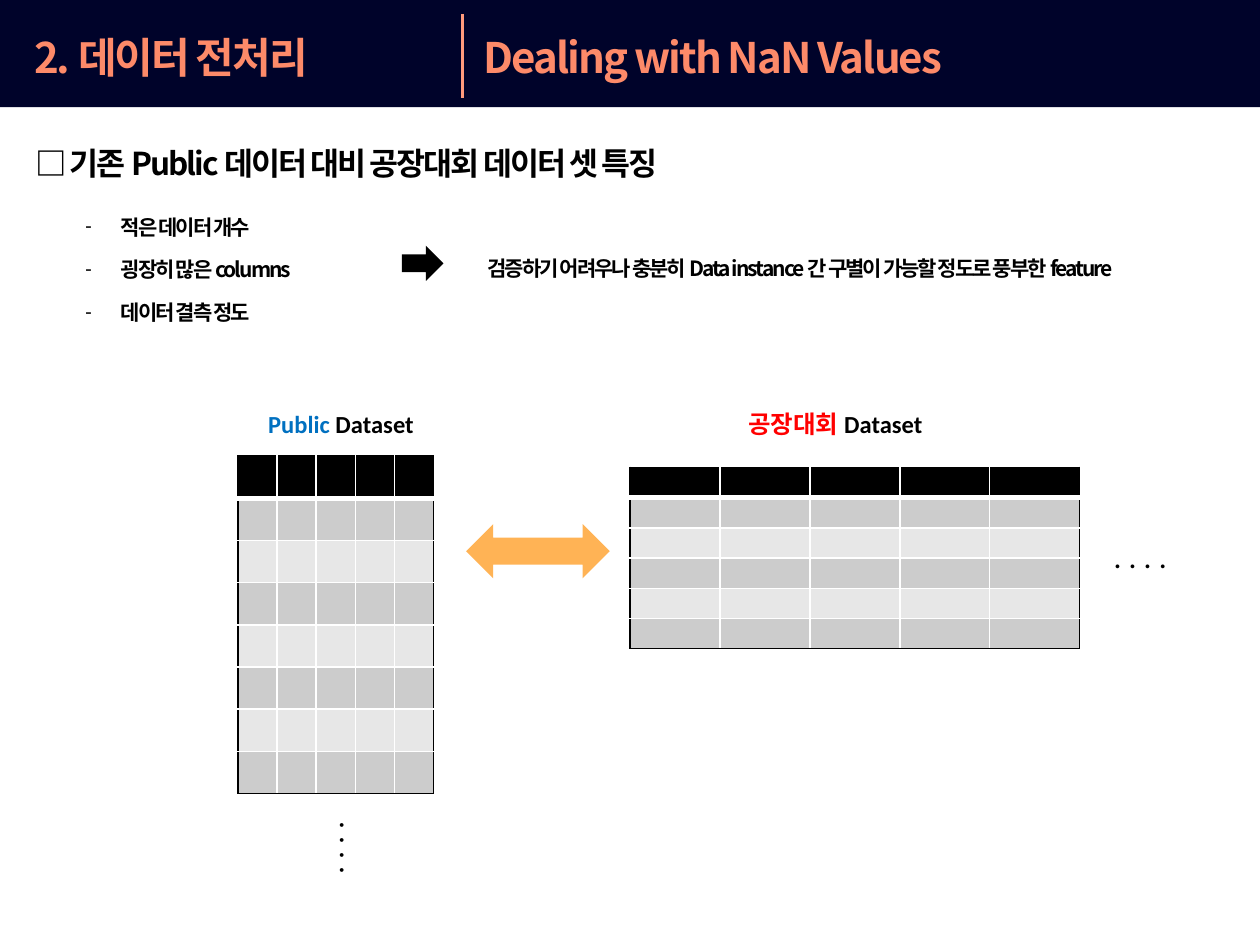
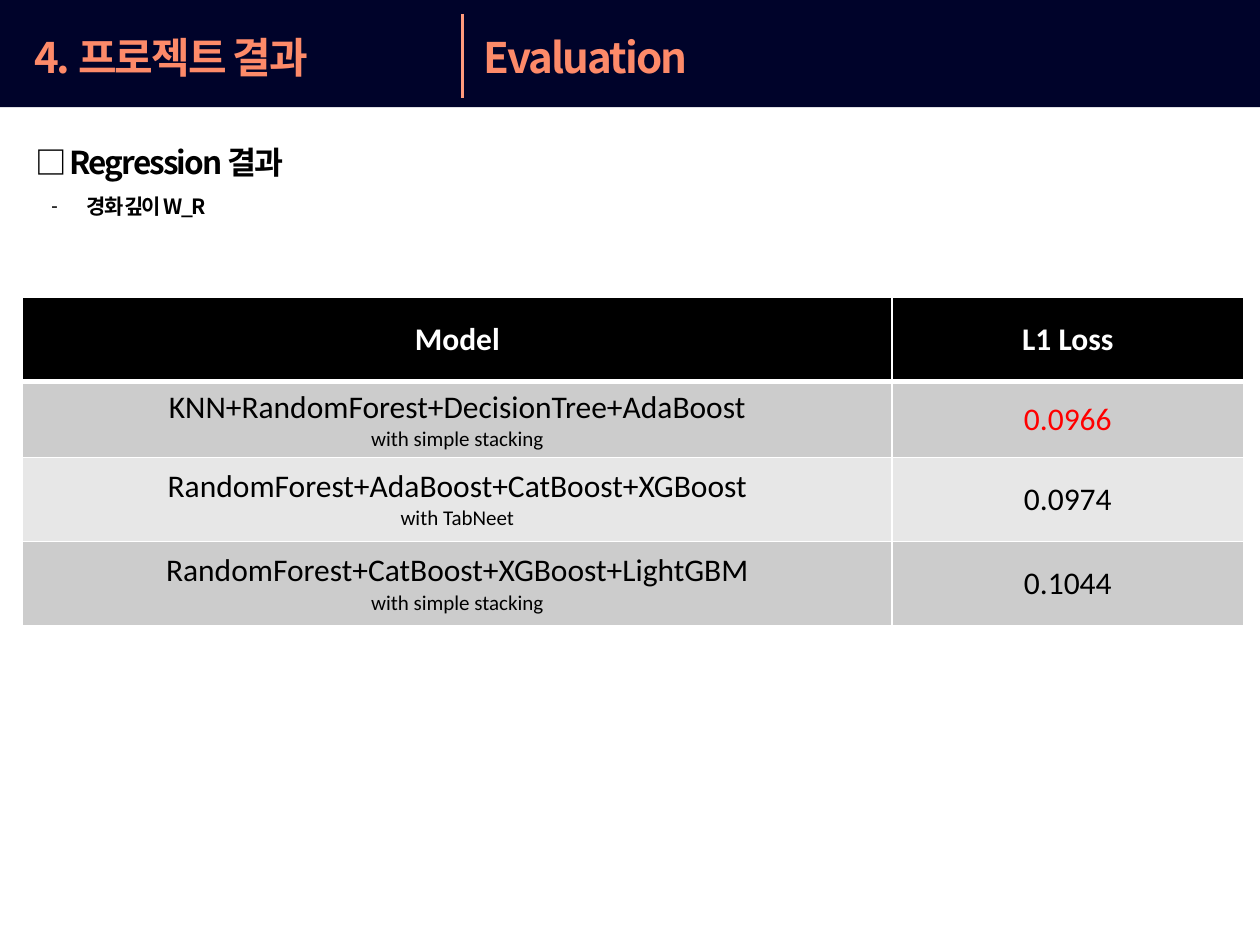
from lxml import etree
from pptx import Presentation
from pptx.dml.color import RGBColor
from pptx.enum import shapes, text
from pptx.oxml import ns
from pptx.util import Inches, Pt

COLORS = {
    "band": "00032A",
    "heading": "FD8A69",
    "divider": "FF9B7D",
    "black": "000000",
    "white": "FFFFFF",
    "red": "FF0000",
    "blue": "0070C0",
    "orange": "FFB355",
    "odd_row": "CCCCCC",
    "even_row": "E7E7E7",
}
KOREAN = "Noto Sans CJK KR"
LATIN = "Calibri"
HEADING = dict(size=24, color="heading", bold=True, font=KOREAN, spacing=-1.1)
SUBHEADING = dict(HEADING, size=18, color="black")
NOTE = dict(SUBHEADING, size=12)
LABEL = dict(size=14, bold=True)
MIDDLE = text.MSO_ANCHOR.MIDDLE
TITLE_ONLY = 5


def rgb(name):
    return RGBColor.from_string(COLORS[name])


def add_xml(parent, tag, **attributes):
    return etree.SubElement(parent, ns.qn(tag), attributes)


def write_span(para, content, size=18, color="black", bold=False, font=LATIN, spacing=None):
    if content == "\n":
        para.add_line_break()
        return
    span = para.add_run()
    span.text = content
    span.font.size = Pt(size)
    span.font.bold = bold
    span.font.color.rgb = rgb(color)
    span.font.name = font
    properties = span.font._element
    add_xml(properties, "a:ea", typeface=KOREAN)
    if spacing:
        properties.set("spc", str(round(spacing * 100)))


def write_spans(para, spans):
    for content, style in spans:
        write_span(para, content, **style)


def format_frame(frame, anchor):
    frame.word_wrap = True
    frame.auto_size = text.MSO_AUTO_SIZE.SHAPE_TO_FIT_TEXT
    frame.vertical_anchor = anchor


def place(shape, left, top, width, height):
    shape.left, shape.top = Inches(left), Inches(top)
    shape.width, shape.height = Inches(width), Inches(height)


def add_text(page, area, *spans, anchor=text.MSO_ANCHOR.TOP, line_spacing=None,
             dashed=False, vertical=False):
    box = page.shapes.add_textbox(*map(Inches, area))
    format_frame(box.text_frame, anchor)
    para = box.text_frame.paragraphs[0]
    if line_spacing:
        para.line_spacing = line_spacing
    if dashed:
        properties = para._p.get_or_add_pPr()
        properties.set("marL", str(Inches(0.28)))
        properties.set("indent", str(-Inches(0.28)))
        add_xml(properties, "a:buFont", typeface=LATIN)
        add_xml(properties, "a:buChar", char="-")
    if vertical:
        box.text_frame._txBody.bodyPr.set("vert", "eaVert")
    write_spans(para, spans)


def add_filled_shape(page, kind, area, color):
    shape = page.shapes.add_shape(kind, *map(Inches, area))
    shape.shadow.inherit = False
    shape.fill.solid()
    shape.fill.fore_color.rgb = rgb(color)
    shape.line.fill.background()
    return shape


def add_page(deck, chapter, topic):
    """Add a slide with the dark band, its chapter title, divider and topic."""
    page = deck.slides.add_slide(deck.slide_layouts[TITLE_ONLY])
    band = add_filled_shape(page, shapes.MSO_SHAPE.RECTANGLE, (0, 0, 10, 0.85), "band")
    page.shapes._spTree.insert(2, band._element)

    title = page.shapes.title
    place(title, 0.17, 0.2, 4.04, 0.5)
    format_frame(title.text_frame, MIDDLE)
    para = title.text_frame.paragraphs[0]
    para.alignment = text.PP_ALIGN.LEFT
    write_span(para, chapter, **HEADING)

    divider = page.shapes.add_connector(
        shapes.MSO_CONNECTOR.STRAIGHT, *map(Inches, (3.67, 0.11, 3.67, 0.78)))
    divider.line.color.rgb = rgb("divider")
    divider.line.width = Pt(2)
    add_xml(divider._element.spPr, "a:effectLst")

    add_text(page, (3.74, 0.2, 6.05, 0.5), (topic, HEADING), anchor=MIDDLE)
    return page


def add_subheading(page, area, content):
    add_text(page, area, (content, SUBHEADING), anchor=MIDDLE, line_spacing=2)


def add_note(page, area, content, dashed=True):
    add_text(page, area, (content, NOTE), line_spacing=2, dashed=dashed)


def add_borders(cell, sides):
    """Draw borders given as {side: (color, points)}, below any cell fill in order."""
    properties = cell._tc.get_or_add_tcPr()
    for index, (side, (color, points)) in enumerate(sides.items()):
        line = etree.Element(ns.qn(f"a:ln{side}"), w=str(Pt(points)))
        fill = add_xml(line, "a:solidFill")
        add_xml(fill, "a:srgbClr", val=COLORS[color])
        properties.insert(index, line)


def add_grid(page, left, top, widths, heights, edge):
    """Add a table with a black header, alternating rows and an outer edge color."""
    table = page.shapes.add_table(
        len(heights), len(widths), Inches(left), Inches(top),
        Inches(sum(widths)), Inches(sum(heights))).table
    for column, width in zip(table.columns, widths):
        column.width = Inches(width)
    for row, height in zip(table.rows, heights):
        row.height = Inches(height)
    last_row, last_column = len(heights) - 1, len(widths) - 1
    for r, row in enumerate(table.rows):
        fill = "black" if r == 0 else "odd_row" if r % 2 else "even_row"
        for c, cell in enumerate(row.cells):
            cell.fill.solid()
            cell.fill.fore_color.rgb = rgb(fill)
            add_borders(cell, {
                "L": (edge if c == 0 else "white", 1),
                "R": (edge if c == last_column else "white", 1),
                "T": (edge if r == 0 else "white", 3 if r == 1 else 1),
                "B": (edge if r == last_row else "white", 3 if r == 0 else 1),
            })
    return table


def add_blank_grid(page, left, top, columns, rows, width, height):
    table = add_grid(page, left, top, [width] * columns, [height] * rows, "black")
    for cell in table.iter_cells():
        add_xml(cell.text_frame.paragraphs[0]._p, "a:endParaRPr", sz="600")


def fill_cell(cell, *spans):
    cell.vertical_anchor = MIDDLE
    para = cell.text_frame.paragraphs[0]
    para.alignment = text.PP_ALIGN.CENTER
    write_spans(para, spans)


def add_results(page, results):
    table = add_grid(page, 0.18, 2.36, [6.9, 2.79], [0.67, 0.58, 0.67, 0.67], "white")
    for c, name in enumerate(("Model", "L1 Loss")):
        fill_cell(table.cell(0, c), (name, dict(color="white", bold=True)))
    for r, (model, method, loss, color) in enumerate(results, start=1):
        fill_cell(table.cell(r, 0), (model, {}), ("\n", {}), (method, dict(size=12)))
        fill_cell(table.cell(r, 1), (loss, dict(color=color)))


def build_preprocessing(deck):
    page = add_page(deck, "2. 데이터 전처리", "Dealing with NaN Values")
    add_subheading(page, (0.18, 0.79, 9.61, 0.71),
                   "□ 기존 Public 데이터 대비 공장대회 데이터 셋 특징")
    for i, trait in enumerate(("적은 데이터 개수", "굉장히 많은 columns", "데이터 결측 정도")):
        add_note(page, (0.58, 1.45 + 0.34 * i, 8.91, 0.44), trait)
    add_filled_shape(page, shapes.MSO_SHAPE.RIGHT_ARROW, (3.19, 1.95, 0.33, 0.28), "black")
    add_note(page, (3.77, 1.78, 5.59, 0.5),
             "검증하기 어려우나 충분히 Data instance 간 구별이 가능할 정도로 풍부한 feature",
             dashed=False)

    for left, width, name, color in ((2.03, 1.87, "Public", "blue"),
                                     (5.84, 2.13, "공장대회", "red")):
        add_text(page, (left, 3.2, width, 0.34),
                 (name, dict(LABEL, color=color)), (" Dataset", LABEL))
    add_blank_grid(page, 1.89, 3.62, columns=5, rows=8, width=0.31, height=0.335)
    add_blank_grid(page, 5, 3.71, columns=5, rows=6, width=0.714, height=0.24)
    add_text(page, (2.5, 6.42, 0.5, 0.62), (". . . .", {}), vertical=True)
    add_text(page, (8.74, 4.21, 1.39, 0.4), (". . . .", {}))
    add_filled_shape(page, shapes.MSO_SHAPE.LEFT_RIGHT_ARROW, (3.7, 4.16, 1.14, 0.43), "orange")


def build_evaluation(deck):
    page = add_page(deck, "4. 프로젝트 결과", "Evaluation")
    add_subheading(page, (0.18, 0.83, 9.61, 0.61), "□ Regression 결과")
    add_note(page, (0.31, 1.29, 8.91, 0.5), "경화 깊이 W_R")
    add_results(page, (
        ("KNN+RandomForest+DecisionTree+AdaBoost", "with simple stacking", "0.0966", "red"),
        ("RandomForest+AdaBoost+CatBoost+XGBoost", "with TabNeet", "0.0974", "black"),
        ("RandomForest+CatBoost+XGBoost+LightGBM", "with simple stacking", "0.1044", "black"),
    ))


def main():
    deck = Presentation()
    deck.slide_width, deck.slide_height = Inches(10), Inches(7.5)
    build_preprocessing(deck)
    build_evaluation(deck)
    deck.save("out.pptx")


if __name__ == "__main__":
    main()
